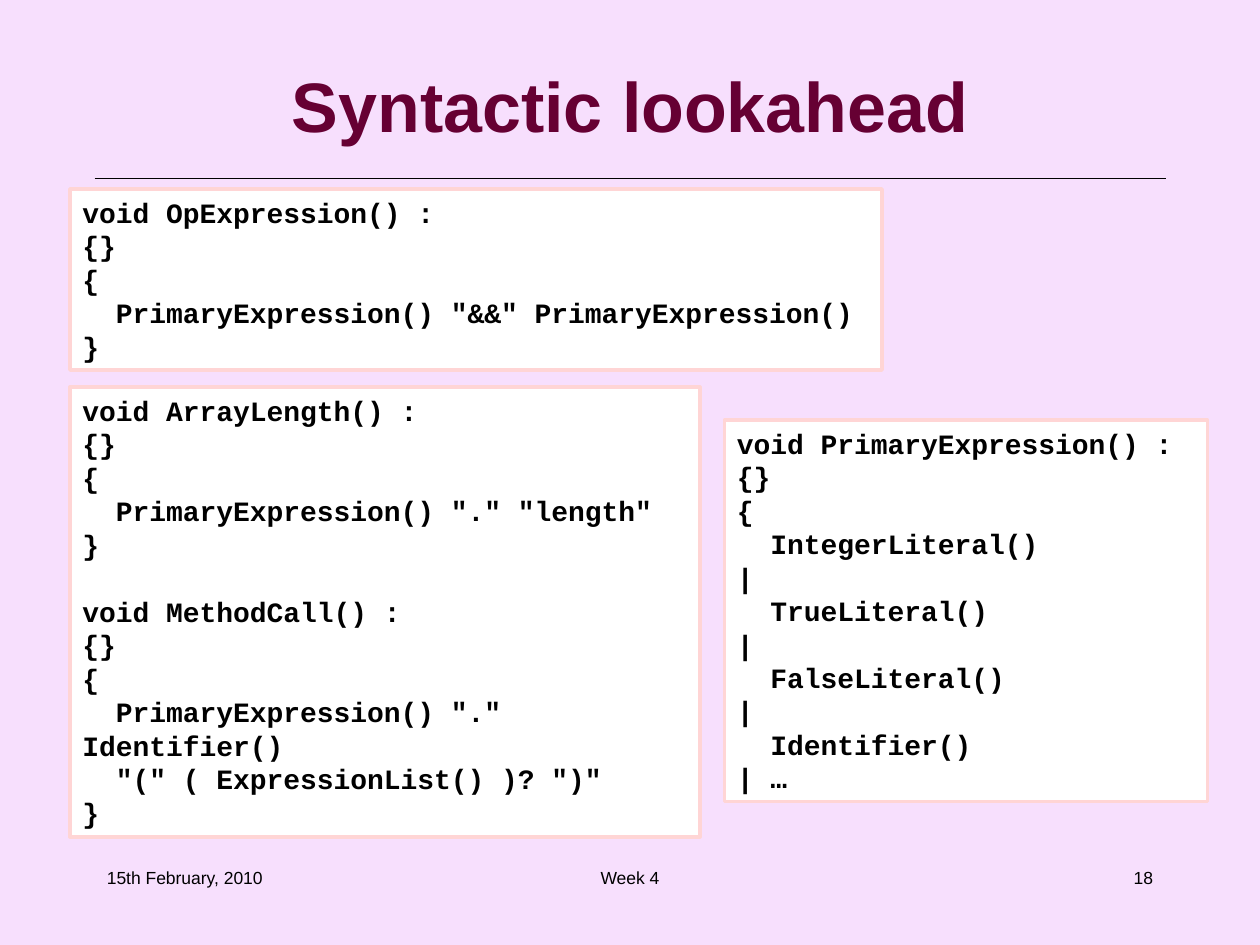
import pptx
import pptx.util
import pptx.dml.color
import pptx.enum.shapes
import pptx.enum.text
import lxml.etree

Pt = pptx.util.Pt
Align = pptx.enum.text.PP_ALIGN
Anchor = pptx.enum.text.MSO_ANCHOR
LINE_PITCH = Pt(19.15)


def color(value):
    return pptx.dml.color.RGBColor.from_string(value)


def write(box, lines, font, ink, align, anchor):
    frame = box.text_frame
    frame.word_wrap = True
    frame.vertical_anchor = anchor
    for index, line in enumerate(lines):
        para = frame.paragraphs[0] if index == 0 else frame.add_paragraph()
        para.alignment = align
        span = para.add_run()
        span.text = line
        for name, value in font.items():
            setattr(span.font, name, value)
        span.font.color.rgb = color(ink)


deck = pptx.Presentation()
deck.slide_width, deck.slide_height = Pt(720), Pt(540)
page = deck.slides.add_slide(deck.slide_layouts[6])
page.background.fill.solid()
page.background.fill.fore_color.rgb = color("F7DFFD")

rule = page.shapes.add_connector(
    pptx.enum.shapes.MSO_CONNECTOR.STRAIGHT, Pt(54), Pt(102), Pt(666), Pt(102))
rule.line.color.rgb = color("000000")
rule.line.width = Pt(0.75)
lxml.etree.SubElement(rule._element.spPr, pptx.oxml.ns.qn("a:effectLst"))

title = page.shapes.add_textbox(Pt(36), Pt(24), Pt(648), Pt(72))
title_font = {"name": "Arial", "size": Pt(40), "bold": True}
write(title, ["Syntactic lookahead"], title_font, "660033", Align.CENTER, Anchor.MIDDLE)

primary_code = """void PrimaryExpression() :
{}
{
  IntegerLiteral()
|
  TrueLiteral()
|
  FalseLiteral()
|
  Identifier()
| …"""

operator_code = """void OpExpression() :
{}
{
  PrimaryExpression() "&&" PrimaryExpression()
}"""

member_code = """void ArrayLength() :
{}
{
  PrimaryExpression() "." "length"
}
void MethodCall() :
{}
{
  PrimaryExpression() "." Identifier()
  "(" ( ExpressionList() )? ")"
}"""

code_font = {"name": "Courier New", "size": Pt(16), "bold": True}
for left, top, width, height, code in [
    (414, 240, 276, 218, primary_code),
    (40, 108, 464, 103.5, operator_code),
    (40, 221.25, 360, 257, member_code),
]:
    box = page.shapes.add_shape(
        pptx.enum.shapes.MSO_SHAPE.RECTANGLE, Pt(left), Pt(top), Pt(width), Pt(height))
    box.shadow.inherit = False
    box.fill.solid()
    box.fill.fore_color.rgb = color("FFFFFF")
    box.line.color.rgb = color("FFD5D5")
    box.line.width = Pt(2)
    write(box, code.split("\n"), code_font, "000000", Align.LEFT, Anchor.TOP)
    box.text_frame.auto_size = pptx.enum.text.MSO_AUTO_SIZE.SHAPE_TO_FIT_TEXT
    for index, para in enumerate(box.text_frame.paragraphs):
        para.line_spacing = LINE_PITCH
        if index and para.text.startswith("void"):
            para.space_before = LINE_PITCH

footer_font = {"name": "Arial", "size": Pt(10)}
for left, width, text, align in [
    (54, 150, "15th February, 2010", Align.LEFT),
    (246, 228, "Week 4", Align.CENTER),
    (516, 150, "18", Align.RIGHT),
]:
    footer = page.shapes.add_textbox(Pt(left), Pt(492), Pt(width), Pt(36))
    write(footer, [text], footer_font, "000000", align, Anchor.TOP)

deck.save("out.pptx")
